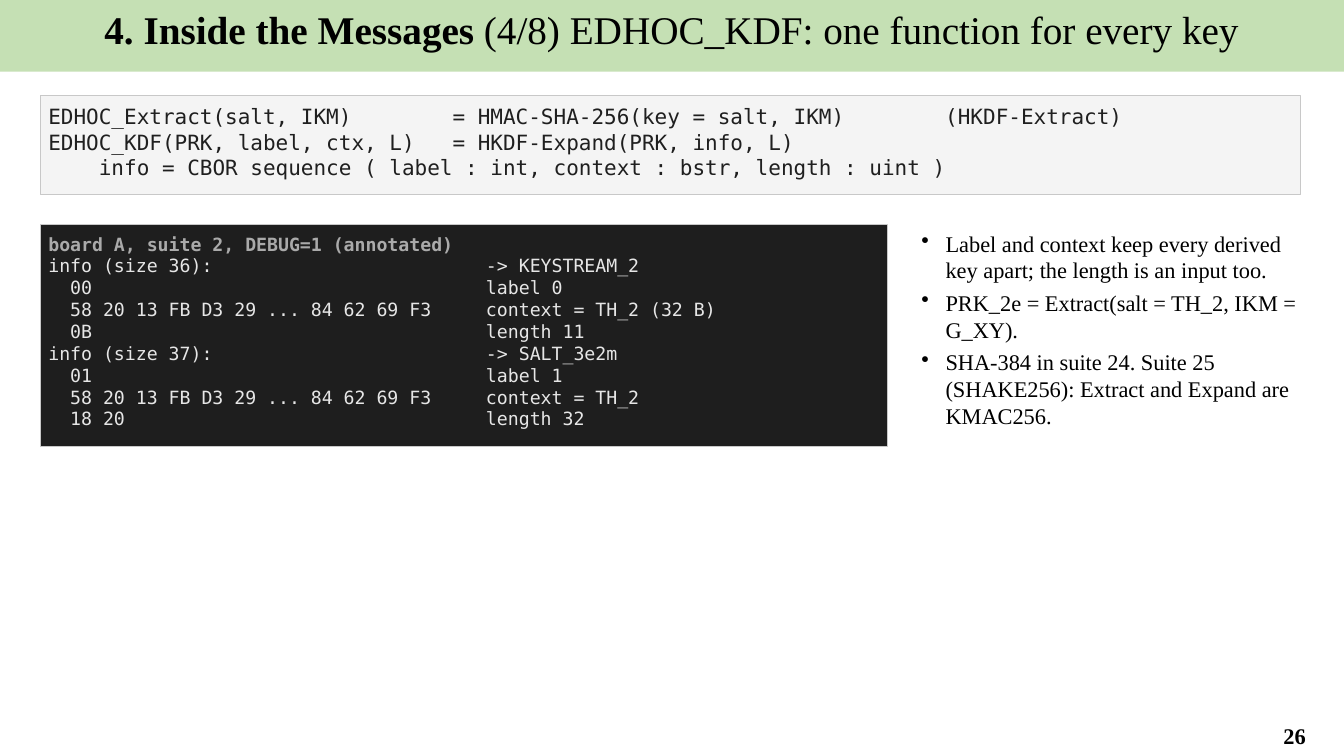
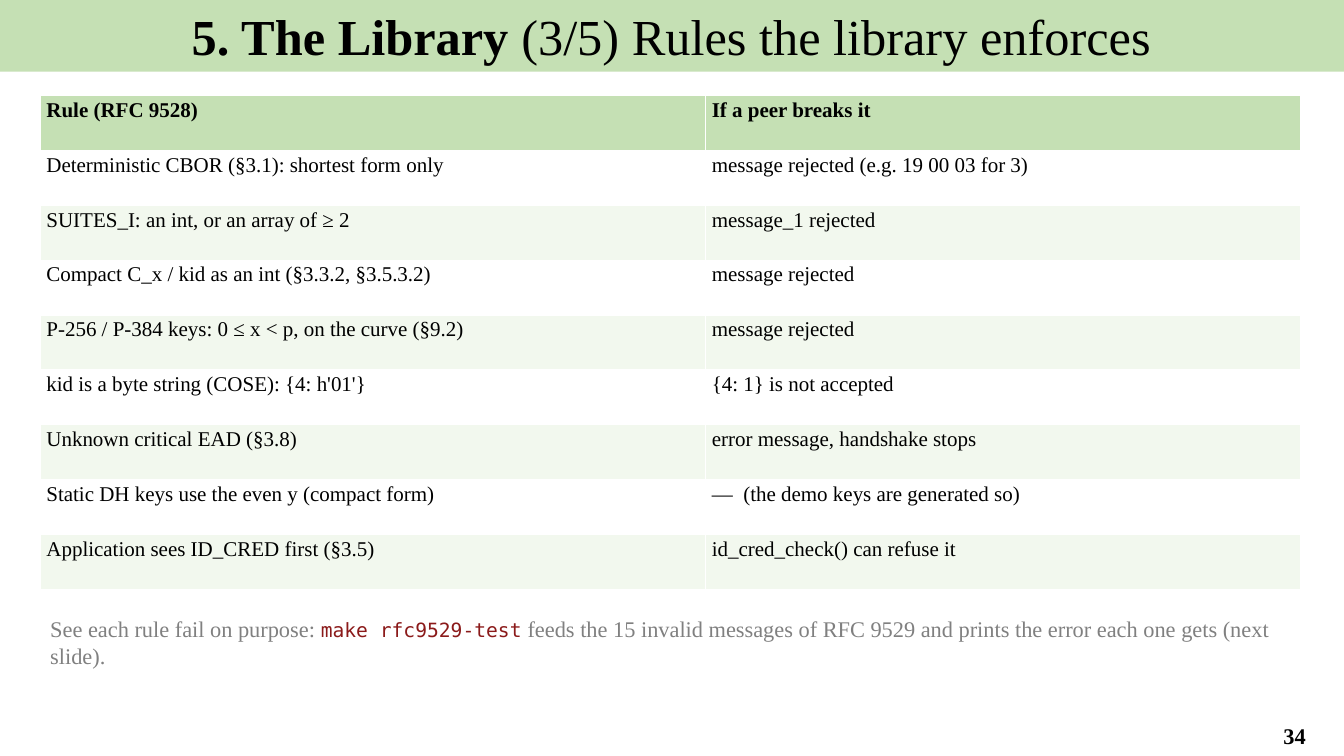
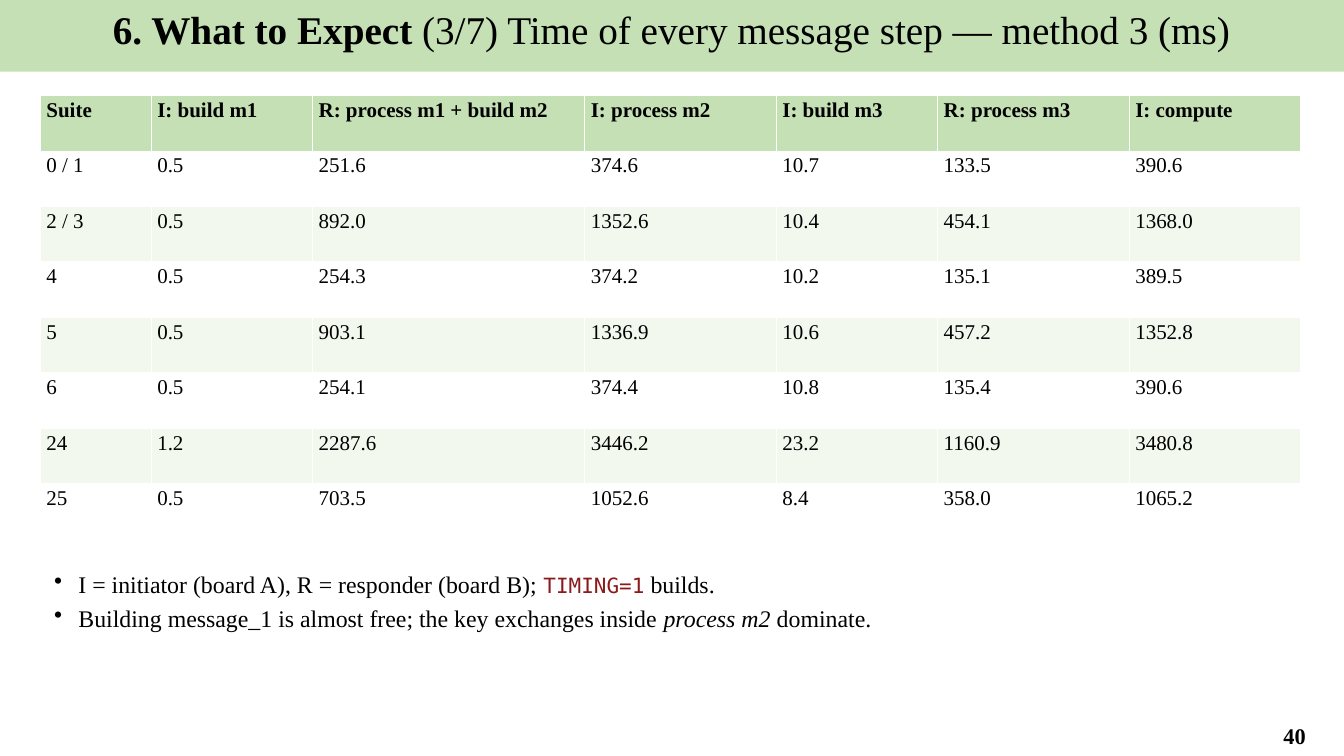
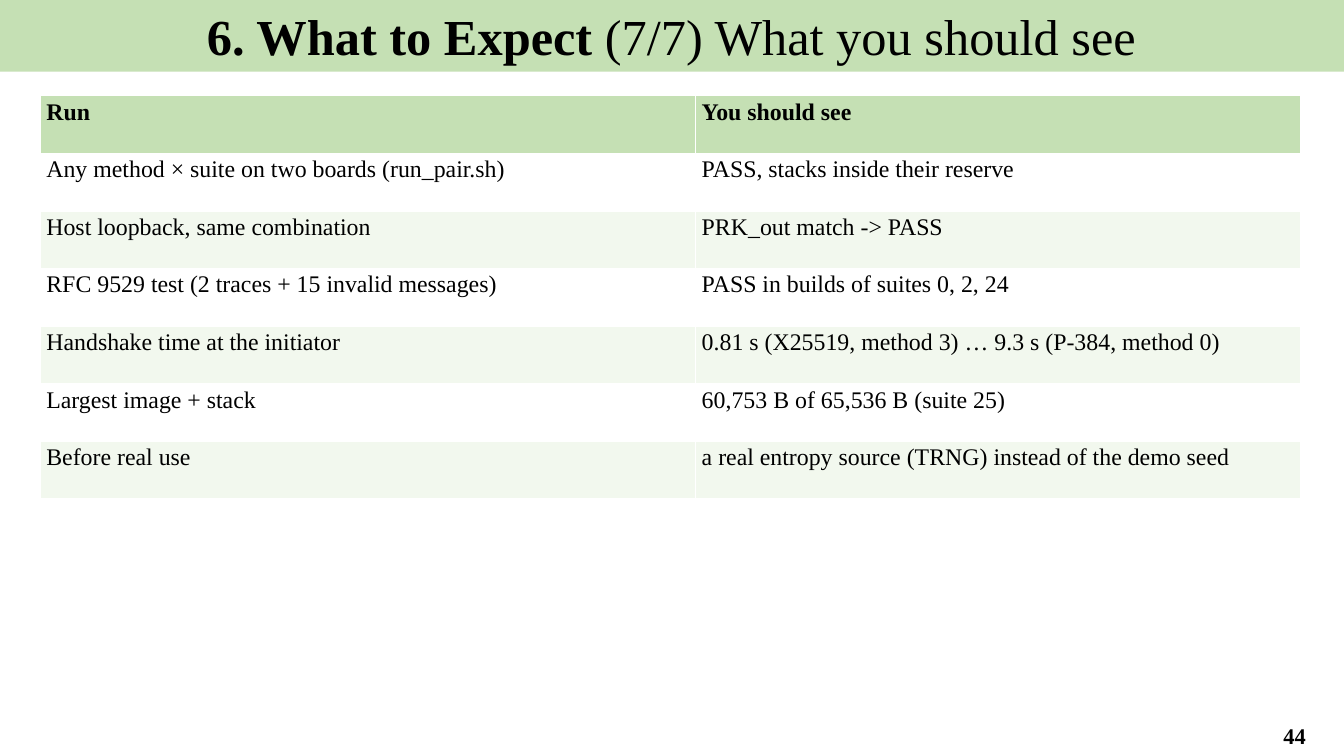
from lxml import etree
from pptx import Presentation
from pptx.dml.color import RGBColor
from pptx.enum.shapes import MSO_SHAPE
from pptx.enum.text import MSO_ANCHOR, PP_ALIGN
from pptx.oxml.ns import qn
from pptx.util import Pt

RECT = MSO_SHAPE.RECTANGLE
TOP, MIDDLE = MSO_ANCHOR.TOP, MSO_ANCHOR.MIDDLE
LEFT, CENTER = PP_ALIGN.LEFT, PP_ALIGN.CENTER

SERIF, MONO = "Times New Roman", "DejaVu Sans Mono"
BLACK, WHITE, GREY, CODE_RED = "000000", "FFFFFF", "808080", "8B1A1A"
GREEN, PALE_GREEN = "C5E0B4", "F2F8EE"
LIGHT = {"fill": "F4F4F4", "text": "1F1F1F"}
DARK = {"fill": "1E1E1E", "text": "E6E6E6", "heading": "AAAAAA"}
CODE_EDGE = "C8C8C8"

PX = 9144
MARGIN, CONTENT_TOP, CONTENT_WIDTH = 40, 95, 1250


def px(n):
    return int(n * PX)


def rgb(value):
    return RGBColor.from_string(value)


def style(size, color=BLACK, name=SERIF, bold=False, italic=False):
    return {"size": Pt(size), "name": name, "bold": bold, "italic": italic, "color": color}


def add_run(p, text, fmt):
    r = p.add_run()
    r.text = text
    for key, value in fmt.items():
        if key == "color":
            r.font.color.rgb = rgb(value)
        else:
            setattr(r.font, key, value)


def fill_text(tf, paragraphs, align=LEFT, anchor=TOP, insets=(10, 5), after=0, bullet=False):
    tf.word_wrap = True
    tf.vertical_anchor = anchor
    tf.margin_left = tf.margin_right = px(insets[0])
    tf.margin_top = tf.margin_bottom = px(insets[1])
    for i, runs in enumerate(paragraphs):
        p = tf.paragraphs[0] if i == 0 else tf.add_paragraph()
        p.alignment = align
        if after:
            p.space_after = Pt(after)
        if bullet:
            pPr = p._p.get_or_add_pPr()
            pPr.set("marL", str(px(28)))
            pPr.set("indent", str(px(-24)))
            etree.SubElement(pPr, qn("a:buChar")).set("char", "•")
        for text, fmt in runs:
            add_run(p, text, fmt)


def add_rect(s, box, fill, line=None):
    sp = s.shapes.add_shape(RECT, *map(px, box))
    sp.shadow.inherit = False
    sp.fill.solid()
    sp.fill.fore_color.rgb = rgb(fill)
    if line:
        sp.line.color.rgb = rgb(line)
        sp.line.width = Pt(0.75)
    else:
        sp.line.fill.background()
    return sp


def add_text(s, box, paragraphs, **layout):
    sp = s.shapes.add_textbox(*map(px, box))
    fill_text(sp.text_frame, paragraphs, **layout)


def add_code(s, box, size, theme, lines):
    sp = add_rect(s, box, theme["fill"], CODE_EDGE)
    fmts = [style(size, theme["text"], MONO)] * len(lines)
    if "heading" in theme:
        fmts[0] = style(size, theme["heading"], MONO, bold=True)
    fill_text(sp.text_frame, [[pair] for pair in zip(lines, fmts)], insets=(8, 8))


def add_grid(s, box, widths, size, rows):
    table = s.shapes.add_table(len(rows), len(widths), *map(px, box)).table
    for column, width in zip(table.columns, widths):
        column.width = px(width)
    for i, values in enumerate(rows):
        table.rows[i].height = px(box[3] / len(rows))
        fill = GREEN if i == 0 else WHITE if i % 2 else PALE_GREEN
        for j, text in enumerate(values):
            cell = table.cell(i, j)
            cell.fill.solid()
            cell.fill.fore_color.rgb = rgb(fill)
            cell.margin_left = cell.margin_right = px(6)
            cell.margin_top = cell.margin_bottom = px(3)
            add_run(cell.text_frame.paragraphs[0], text, style(size, bold=i == 0))


def new_slide(prs, section, heading, number, title_size):
    s = prs.slides.add_slide(prs.slide_layouts[6])
    band = add_rect(s, (-1, 0, 1334, 71), GREEN)
    title = [(section + " ", style(title_size, bold=True)), (heading, style(title_size))]
    fill_text(band.text_frame, [title], align=CENTER)
    add_text(s, (1235, 710, 98, 39), [[(str(number), style(16, bold=True))]],
             align=CENTER, anchor=MIDDLE)
    return s


def kdf_slide(prs):
    s = new_slide(prs, "4. Inside the Messages", "(4/8) EDHOC_KDF: one function for every key", 26, 28)
    add_code(s, (MARGIN, CONTENT_TOP, CONTENT_WIDTH, 98), 15, LIGHT, [
        "EDHOC_Extract(salt, IKM)        = HMAC-SHA-256(key = salt, IKM)        (HKDF-Extract)",
        "EDHOC_KDF(PRK, label, ctx, L)   = HKDF-Expand(PRK, info, L)",
        "    info = CBOR sequence ( label : int, context : bstr, length : uint )",
    ])
    add_code(s, (MARGIN, 223, 840, 220), 13, DARK, [
        "board A, suite 2, DEBUG=1 (annotated)",
        "info (size 36):                         -> KEYSTREAM_2",
        "  00                                    label 0",
        "  58 20 13 FB D3 29 ... 84 62 69 F3     context = TH_2 (32 B)",
        "  0B                                    length 11",
        "info (size 37):                         -> SALT_3e2m",
        "  01                                    label 1",
        "  58 20 13 FB D3 29 ... 84 62 69 F3     context = TH_2",
        "  18 20                                 length 32",
    ])
    points = [
        "Label and context keep every derived key apart; the length is an input too.",
        "PRK_2e = Extract(salt = TH_2, IKM = G_XY).",
        "SHA-384 in suite 24. Suite 25 (SHAKE256): Extract and Expand are KMAC256.",
    ]
    add_text(s, (900, 223, 410, 400), [[(text, style(16))] for text in points],
             after=4, bullet=True)


def rules_slide(prs):
    s = new_slide(prs, "5. The Library", "(3/5) Rules the library enforces", 34, 36)
    add_grid(s, (MARGIN, CONTENT_TOP, CONTENT_WIDTH, 490), (660, 590), 15, [
        ("Rule (RFC 9528)", "If a peer breaks it"),
        ("Deterministic CBOR (§3.1): shortest form only", "message rejected (e.g. 19 00 03 for 3)"),
        ("SUITES_I: an int, or an array of ≥ 2", "message_1 rejected"),
        ("Compact C_x / kid as an int (§3.3.2, §3.5.3.2)", "message rejected"),
        ("P-256 / P-384 keys: 0 ≤ x < p, on the curve (§9.2)", "message rejected"),
        ("kid is a byte string (COSE): {4: h'01'}", "{4: 1} is not accepted"),
        ("Unknown critical EAD (§3.8)", "error message, handshake stops"),
        ("Static DH keys use the even y (compact form)", "—  (the demo keys are generated so)"),
        ("Application sees ID_CRED first (§3.5)", "id_cred_check() can refuse it"),
    ])
    note = style(16, GREY)
    add_text(s, (MARGIN, 605, CONTENT_WIDTH, 90), [[
        ("See each rule fail on purpose: ", note),
        ("make rfc9529-test", style(14, CODE_RED, MONO)),
        (" feeds the 15 invalid messages of RFC 9529 and prints the error each one gets (next slide).", note),
    ]], after=4)


def timing_slide(prs):
    s = new_slide(prs, "6. What to Expect", "(3/7) Time of every message step — method 3 (ms)", 40, 28)
    add_grid(s, (MARGIN, CONTENT_TOP, CONTENT_WIDTH, 440), (110, 160, 270, 190, 160, 190, 170), 15, [
        ("Suite", "I: build m1", "R: process m1 + build m2", "I: process m2",
         "I: build m3", "R: process m3", "I: compute"),
        ("0 / 1", "0.5", "251.6", "374.6", "10.7", "133.5", "390.6"),
        ("2 / 3", "0.5", "892.0", "1352.6", "10.4", "454.1", "1368.0"),
        ("4", "0.5", "254.3", "374.2", "10.2", "135.1", "389.5"),
        ("5", "0.5", "903.1", "1336.9", "10.6", "457.2", "1352.8"),
        ("6", "0.5", "254.1", "374.4", "10.8", "135.4", "390.6"),
        ("24", "1.2", "2287.6", "3446.2", "23.2", "1160.9", "3480.8"),
        ("25", "0.5", "703.5", "1052.6", "8.4", "358.0", "1065.2"),
    ])
    body = style(17)
    add_text(s, (MARGIN, 560, CONTENT_WIDTH, 140), [
        [("I = initiator (board A), R = responder (board B); ", body),
         ("TIMING=1", style(15, CODE_RED, MONO)),
         (" builds.", body)],
        [("Building message_1 is almost free; the key exchanges inside ", body),
         ("process m2", style(17, italic=True)),
         (" dominate.", body)],
    ], after=4, bullet=True)


def results_slide(prs):
    s = new_slide(prs, "6. What to Expect", "(7/7) What you should see", 44, 36)
    add_grid(s, (MARGIN, CONTENT_TOP, CONTENT_WIDTH, 400), (650, 600), 17, [
        ("Run", "You should see"),
        ("Any method × suite on two boards (run_pair.sh)", "PASS, stacks inside their reserve"),
        ("Host loopback, same combination", "PRK_out match -> PASS"),
        ("RFC 9529 test (2 traces + 15 invalid messages)", "PASS in builds of suites 0, 2, 24"),
        ("Handshake time at the initiator", "0.81 s (X25519, method 3) … 9.3 s (P-384, method 0)"),
        ("Largest image + stack", "60,753 B of 65,536 B (suite 25)"),
        ("Before real use", "a real entropy source (TRNG) instead of the demo seed"),
    ])


def main():
    prs = Presentation()
    prs.slide_width, prs.slide_height = px(1333), px(750)
    for build in (kdf_slide, rules_slide, timing_slide, results_slide):
        build(prs)
    prs.save("out.pptx")


if __name__ == "__main__":
    main()
